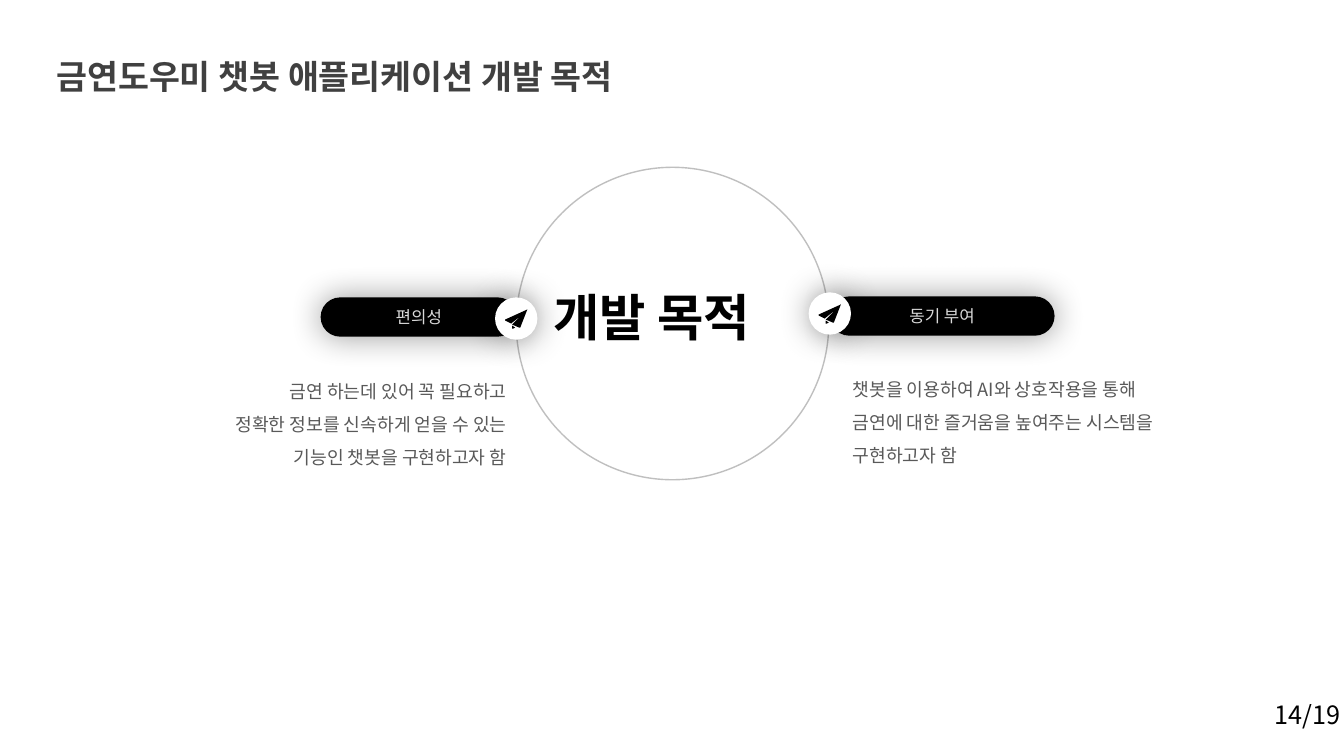
from lxml import etree
from pptx import Presentation
from pptx.dml.color import RGBColor
from pptx.enum.shapes import MSO_SHAPE
from pptx.enum.text import MSO_ANCHOR, PP_ALIGN
from pptx.oxml.ns import qn
from pptx.util import Pt

PX = 9144  # 100 px to the inch
OVAL, PILL = MSO_SHAPE.OVAL, MSO_SHAPE.ROUNDED_RECTANGLE
LEFT, MID, RIGHT = PP_ALIGN.LEFT, PP_ALIGN.CENTER, PP_ALIGN.RIGHT
NOTO, KARLA = "Noto Sans CJK KR", "Karla"
BLACK, WHITE, GREY = "000000", "FFFFFF", "595959"
TAIL = [(17, 28), (20, 30), (18, 31), (17, 31)]
WINGS = [(32, 12), (25, 30), (24, 30), (17, 27), (27, 17), (16, 26), (10, 23), (10, 22)]


def color(code):
    return RGBColor.from_string(code)


def box(*sides):
    return [side * PX for side in sides]


def paint(shape, fill=None, line=None):
    shape.shadow.inherit = False
    if fill:
        shape.fill.solid()
        shape.fill.fore_color.rgb = color(fill)
    else:
        shape.fill.background()
    if line:
        shape.line.color.rgb = color(line)
        shape.line.width = Pt(1)
    else:
        shape.line.fill.background()


def glow(shape):
    """Add a soft black shadow on all sides."""
    effects = shape._element.spPr.find(qn("a:effectLst"))
    shade = etree.SubElement(effects, qn("a:outerShdw"), blurRad=str(Pt(24)),
                             dist="0", dir="0", algn="ctr", rotWithShape="0")
    tone = etree.SubElement(shade, qn("a:srgbClr"), val=BLACK)
    etree.SubElement(tone, qn("a:alpha"), val="40000")


def write(frame, text, size=13, font=NOTO, ink=GREY, bold=False, align=LEFT, space=None):
    frame.word_wrap = True
    para = frame.paragraphs[0]
    para.alignment = align
    if space:
        para.line_spacing = space
    para.text = text
    for run in para.runs:
        run.font.size = Pt(size)
        run.font.name = font
        run.font.bold = bold
        run.font.color.rgb = color(ink)
        etree.SubElement(run.font._element, qn("a:ea"), typeface=NOTO)


def label(slide, text, place, edge=10, **style):
    frame = slide.shapes.add_textbox(*box(*place)).text_frame
    frame.margin_right = edge * PX
    write(frame, text, **style)


def pill(slide, text, place):
    shape = slide.shapes.add_shape(PILL, *box(*place))
    shape.adjustments[0] = 0.5
    paint(shape, BLACK)
    glow(shape)
    frame = shape.text_frame
    frame.margin_left = frame.margin_top = frame.margin_right = frame.margin_bottom = 0
    frame.vertical_anchor = MSO_ANCHOR.MIDDLE
    write(frame, text, size=12, font=KARLA, ink="D9D9D9", align=MID)


def badge(slide, x, y):
    """Draw a paper plane on a white disc."""
    group = slide.shapes.add_group_shape()
    disc = group.shapes.add_shape(OVAL, *box(x, y, 42, 42))
    paint(disc, WHITE)
    glow(disc)
    pen = group.shapes.build_freeform(*TAIL[0], scale=PX)
    pen.add_line_segments(TAIL[1:], close=True)
    pen.move_to(*WINGS[0])
    pen.add_line_segments(WINGS[1:], close=True)
    paint(pen.convert_to_shape(x * PX, y * PX), BLACK)


def main():
    deck = Presentation()
    deck.slide_width, deck.slide_height = box(1333, 750)
    slide = deck.slides.add_slide(deck.slide_layouts[6])

    paint(slide.shapes.add_shape(OVAL, *box(512, 166, 310, 310)), line="BFBFBF")

    pill(slide, "동기 부여", (823, 294, 223, 39))
    badge(slide, 802, 290)
    label(slide, "챗봇을 이용하여 AI와 상호작용을 통해 금연에 대한 즐거움을 높여주는 시스템을 구현하고자 함",
          (836, 360, 339, 104), space=1.5)

    pill(slide, "편의성", (318, 295, 195, 39))
    badge(slide, 491, 295)
    label(slide, "금연 하는데 있어 꼭 필요하고\v정확한 정보를 신속하게 얻을 수 있는\v기능인 챗봇을 구현하고자 함",
          (202, 362, 310, 104), align=RIGHT, space=1.5)

    label(slide, "개발 목적", (539, 279, 241, 71), size=36, ink=BLACK, bold=True)
    label(slide, "금연도우미 챗봇 애플리케이션 개발 목적", (46, 31, 702, 63),
          size=24, ink="404040", bold=True, space=1.5)
    label(slide, "14/19", (1254, 689, 79, 40), edge=0, size=18, ink=BLACK)

    deck.save("out.pptx")


if __name__ == "__main__":
    main()
